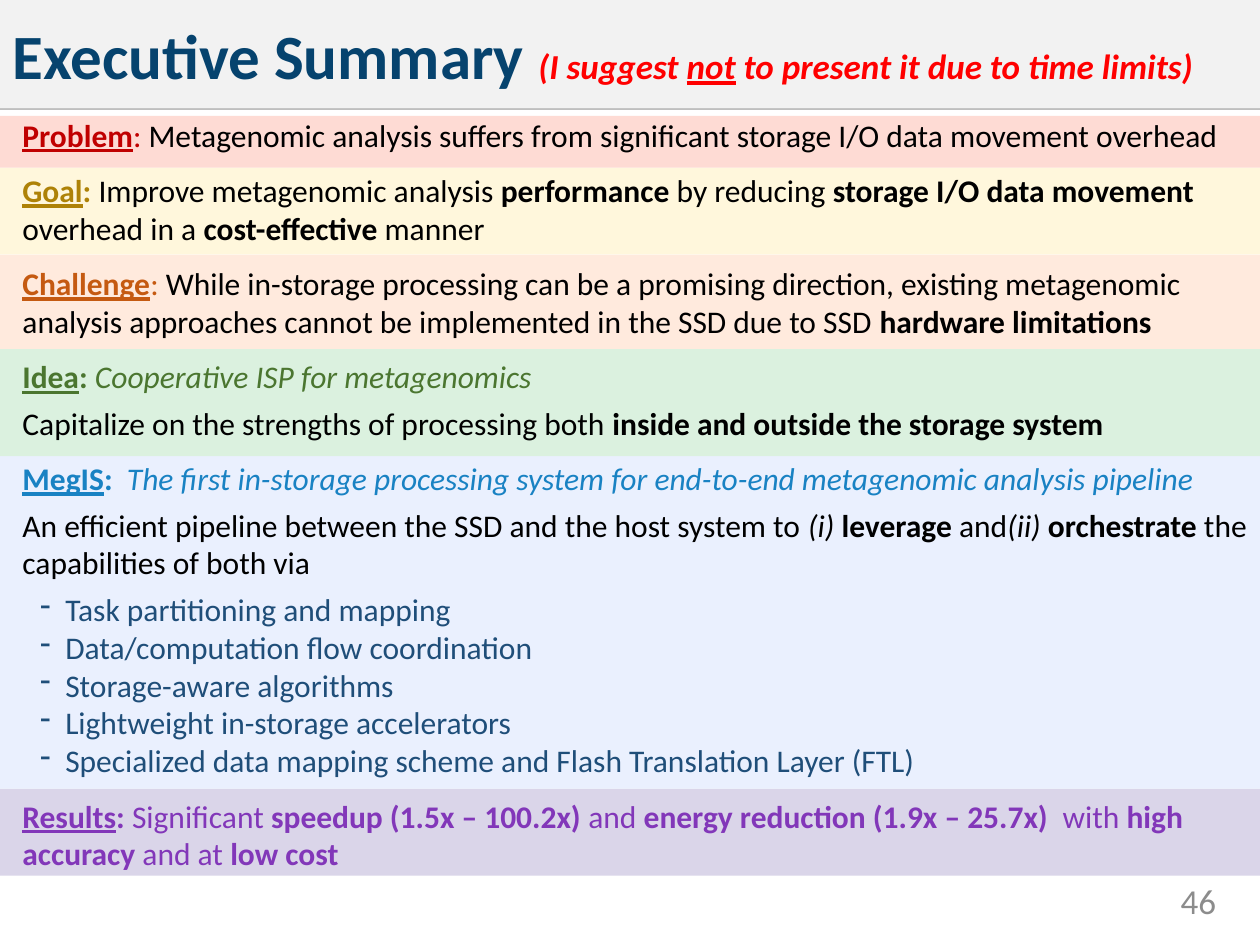
from lxml.etree import SubElement
from pptx import Presentation
from pptx.dml.color import RGBColor
from pptx.enum.shapes import MSO_CONNECTOR, MSO_SHAPE
from pptx.enum.text import MSO_ANCHOR, PP_ALIGN
from pptx.oxml.ns import qn
from pptx.util import Inches, Pt

FLAGS = {"b": "bold", "i": "italic", "u": "underline"}
BLACK, RED, GOLD, ORANGE = "000000", "C00000", "AE8207", "C55A11"
GREEN, BLUE, NAVY, PURPLE = "4B7630", "1982C3", "1F4E79", "8237B9"


def rgb(value):
    return RGBColor.from_string(value)


class SlideBuilder:
    font = "Calibri"

    def __init__(self, slide):
        self.s = slide

    def rect(self, top, height, fill):
        sp = self.s.shapes.add_shape(MSO_SHAPE.RECTANGLE, 0, Inches(top),
                                     Inches(10), Inches(height))
        sp.shadow.inherit = False
        sp.fill.solid()
        sp.fill.fore_color.rgb = rgb(fill)
        sp.line.fill.background()
        return sp

    def rule(self, y, color, width):
        ln = self.s.shapes.add_connector(MSO_CONNECTOR.STRAIGHT, 0, Inches(y),
                                         Inches(10), Inches(y))
        ln.line.color.rgb = rgb(color)
        ln.line.width = Pt(width)
        SubElement(ln._element.spPr, qn("a:effectLst"))

    def textbox(self, left, top, width, height, anchor=MSO_ANCHOR.TOP):
        box = self.s.shapes.add_textbox(*map(Inches, (left, top, width, height)))
        return self.frame(box, anchor)

    def frame(self, sp, anchor):
        tf = sp.text_frame
        tf.word_wrap = True
        tf.vertical_anchor = anchor
        return tf

    def paragraph(self, tf, runs, first=False, bullet=None, **fmt):
        """Add runs given as (text, flags, colour, size)."""
        p = tf.paragraphs[0] if first else tf.add_paragraph()
        for name, value in {"alignment": PP_ALIGN.LEFT, **fmt}.items():
            setattr(p, name, value)
        if bullet:
            pPr = p._p.get_or_add_pPr()
            pPr.set("marL", str(Inches(0.34)))
            pPr.set("indent", str(Inches(-0.2)))
            SubElement(pPr, qn("a:buChar"), char=bullet)
        for text, flags, color, size in runs:
            r = p.add_run()
            r.text = text
            style = {"name": self.font, "size": Pt(size)}
            style.update({attr: key in flags for key, attr in FLAGS.items()})
            for name, value in style.items():
                setattr(r.font, name, value)
            r.font.color.rgb = rgb(color)


# Background bands, back to front: top, height, fill
BANDS = [
    (6.26, 0.69, "DAD5E9"),
    (3.61, 2.65, "EAF0FE"),
    (2.75, 0.87, "DBF1DF"),
    (2.02, 0.75, "FFEADD"),
    (1.33, 0.69, "FFF7DC"),
    (0.92, 0.41, "FEDBD4"),
]

TITLE = [
    ("Executive Summary ", "b", "06436E", 36),
    ("(I suggest ", "bi", "FF0000", 20),
    ("not", "biu", "FF0000", 20),
    (" to present it due to time limits)", "bi", "FF0000", 20),
]

# Body paragraphs: space before, space after, runs of (text, flags, colour)
INTRO = [
    (0, 0, [("Problem", "bu", RED), (": ", "", RED),
            ("Metagenomic analysis suffers from significant storage I/O data "
             "movement overhead", "", BLACK)]),
    (10, 0, [("Goal", "bu", GOLD), (": ", "b", GOLD),
             ("Improve metagenomic analysis ", "", BLACK),
             ("performance", "b", BLACK), (" by reducing ", "", BLACK),
             ("storage I/O data movement", "b", BLACK),
             (" overhead in a ", "", BLACK),
             ("cost-effective", "b", BLACK), (" manner", "", BLACK)]),
    (10, 0, [("Challenge", "bu", ORANGE), (": ", "", ORANGE),
             ("While in-storage processing can be a promising direction, "
              "existing metagenomic analysis approaches cannot be implemented "
              "in the SSD due to SSD", "", BLACK),
             (" hardware limitations", "b", BLACK)]),
    (10, 0, [("Idea", "bu", GREEN), (": ", "b", GREEN),
             ("Cooperative ISP for metagenomics", "i", GREEN)]),
    (5, 0, [("Capitalize on the strengths of processing both ", "", BLACK),
            ("inside and outside the storage system", "b", BLACK)]),
    (10, 0, [("MegIS", "bu", BLUE), (":  ", "b", BLUE),
             ("The first in-storage processing system for end-to-end "
              "metagenomic analysis pipeline", "i", BLUE)]),
    (5, 5, [("An efficient pipeline between the SSD and the host system to ",
             "", BLACK),
            ("(i) ", "i", BLACK), ("leverage", "b", BLACK), (" and", "", BLACK),
            ("(ii) ", "i", BLACK), ("orchestrate", "b", BLACK),
            (" the capabilities of both via", "", BLACK)]),
]
TECHNIQUES = [
    "Task partitioning and mapping",
    "Data/computation flow coordination",
    "Storage-aware algorithms",
    "Lightweight in-storage accelerators",
    "Specialized data mapping scheme and Flash Translation Layer (FTL)",
]
RESULTS = [
    ("Results", "bu", PURPLE), (": ", "b", PURPLE),
    ("Significant ", "", PURPLE), ("speedup (1.5x – 100.2x) ", "b", PURPLE),
    ("and ", "", PURPLE), ("energy reduction (1.9x – 25.7x)  ", "b", PURPLE),
    ("with ", "", PURPLE), ("high accuracy", "b", PURPLE),
    (" and at ", "", PURPLE), ("low cost", "b", PURPLE),
]


def main():
    prs = Presentation()
    prs.slide_width, prs.slide_height = Inches(10), Inches(7.5)
    sb = SlideBuilder(prs.slides.add_slide(prs.slide_layouts[6]))

    # Page number and header rule
    tf = sb.textbox(8.67, 6.95, 1.08, 0.4, MSO_ANCHOR.MIDDLE)
    sb.paragraph(tf, [("46", "", "8C8C8C", 20)], first=True,
                 alignment=PP_ALIGN.RIGHT)
    sb.rule(0.86, "BFBFBF", 2)

    # Coloured bands
    for band in BANDS:
        sb.rect(*band)

    # Title
    tf = sb.frame(sb.rect(0, 0.86, "F2F2F2"), MSO_ANCHOR.MIDDLE)
    sb.paragraph(tf, TITLE, first=True, space_after=Pt(6))

    # Body
    tf = sb.textbox(0.08, 0.87, 10, 6.14)
    items = [(before, after, runs, None) for before, after, runs in INTRO]
    items += [(0, 0, [(text, "", NAVY)], "-") for text in TECHNIQUES]
    items.append((10, 0, RESULTS, None))
    for n, (before, after, runs, bullet) in enumerate(items):
        sb.paragraph(tf, [(*run, 18) for run in runs], first=n == 0,
                     bullet=bullet, space_before=Pt(before),
                     space_after=Pt(after))

    prs.save("out.pptx")


if __name__ == "__main__":
    main()
